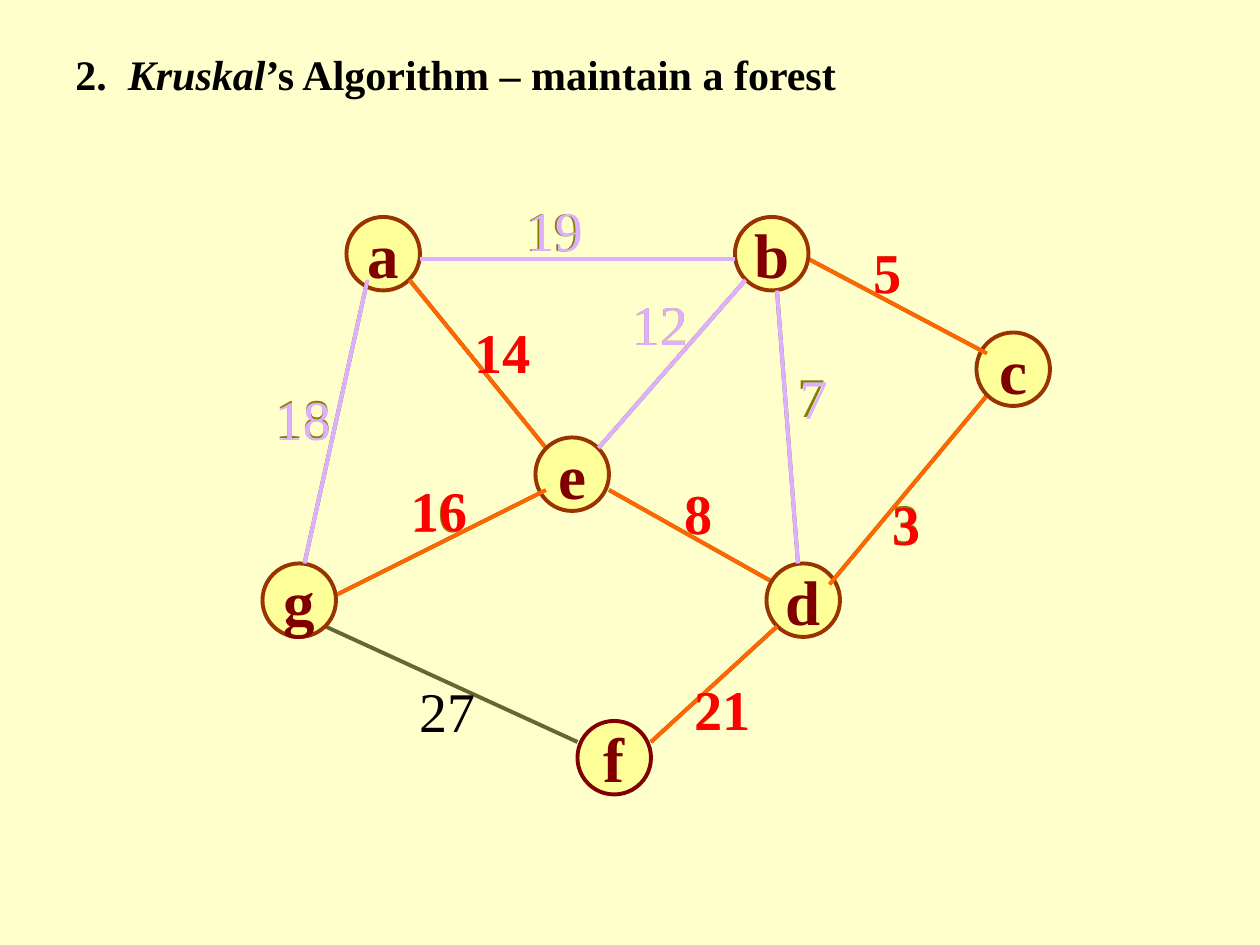
from dataclasses import dataclass

from lxml.etree import SubElement
from pptx import Presentation
from pptx.dml.color import RGBColor
from pptx.enum.shapes import MSO_CONNECTOR, MSO_SHAPE
from pptx.enum.text import MSO_ANCHOR, MSO_AUTO_SIZE, PP_ALIGN
from pptx.oxml.ns import qn
from pptx.util import Pt

COLORS = {
    "background": "FFFFCC", "black": "000000", "edge": "666633",
    "weight": "808000", "tree_edge": "FF6600", "tree_weight": "FF0000",
    "rejected": "DFAFFF", "node": "FFFF99", "rim": "993300", "name": "800000",
}


@dataclass
class Edge:
    """ends is x1, y1, x2, y2; nudge moves the coloured weight off the plain one."""
    weight: str
    ends: tuple
    label: tuple
    nudge: tuple = (0, 0)


TREE = {
    "ae": Edge("14", (234, 160, 312, 256), (264, 178)),
    "ed": Edge("8", (348, 280, 444, 334), (384, 270)),
    "dc": Edge("3", (564, 226, 474, 334), (502.5, 275), (0.5, 1)),
    "cb": Edge("5", (462, 148, 564, 202), (492, 132)),
    "eg": Edge("16", (192, 340, 312, 280), (227, 269), (1, -1)),
    "df": Edge("21", (444, 358, 372, 424), (390, 382)),
}
REJECTED = {
    "bd": Edge("7", (444, 166, 456, 322), (448.5, 203), (1.5, 1)),
    "be": Edge("12", (426, 160, 342, 256), (354, 162)),
    "ag": Edge("18", (210, 160, 174, 322), (150, 215), (0, 1)),
    "ab": Edge("19", (240, 148, 420, 148), (293, 108), (1, 0)),
}
UNSEEN = Edge("27", (186, 358, 330, 424), (232.5, 383))

# Each vertex, in the order the forest grows, with the tree edge drawn beneath it
VERTICES = [
    ("a", (198, 124), None), ("e", (306, 250), "ae"), ("d", (438, 322), "ed"),
    ("c", (558, 190), "dc"), ("b", (420, 124), "cb"), ("g", (150, 322), "eg"),
    ("f", (330, 412), "df"),
]


class GraphSlide:
    font = "Times New Roman"
    line_width = Pt(2.25)
    node_size = Pt(42)

    def __init__(self, slide):
        self.slide = slide
        self.shapes = slide.shapes
        fill = slide.background.fill
        fill.solid()
        fill.fore_color.rgb = self.rgb("background")

    def rgb(self, color):
        return RGBColor.from_string(COLORS[color])

    def style(self, r, size, color, bold=False, italic=False):
        font = r.font
        font.name, font.size = self.font, Pt(size)
        font.bold, font.italic = bold, italic
        font.color.rgb = self.rgb(color)

    def title(self, parts):
        """parts are (text, italic) pairs."""
        tf = self.shapes.add_textbox(Pt(36), Pt(24), Pt(480), Pt(36)).text_frame
        tf.word_wrap = True
        tf.auto_size = MSO_AUTO_SIZE.SHAPE_TO_FIT_TEXT
        for text, italic in parts:
            r = tf.paragraphs[0].add_run()
            r.text = text
            self.style(r, 24, "black", True, italic)

    def line(self, edge, color):
        sp = self.shapes.add_connector(MSO_CONNECTOR.STRAIGHT, *map(Pt, edge.ends))
        sp.line.width = self.line_width
        sp.line.color.rgb = self.rgb(color)
        SubElement(sp._element.spPr, qn("a:effectLst"))

    def weight(self, edge, color, bold=False, nudge=(0, 0)):
        x, y = (a + b for a, b in zip(edge.label, nudge))
        width = 30 if len(edge.weight) == 1 else 46.5
        tf = self.shapes.add_textbox(Pt(x), Pt(y), Pt(width), Pt(45.5)).text_frame
        tf.word_wrap = False
        tf.auto_size = MSO_AUTO_SIZE.SHAPE_TO_FIT_TEXT
        tf.text = edge.weight
        self.style(tf.paragraphs[0].runs[0], 32, color, bold)

    def node(self, name, at, rim):
        sp = self.shapes.add_shape(MSO_SHAPE.OVAL, *map(Pt, at),
                                   self.node_size, self.node_size)
        sp.shadow.inherit = False
        sp.fill.solid()
        sp.fill.fore_color.rgb = self.rgb("node")
        sp.line.color.rgb = self.rgb(rim)
        sp.line.width = self.line_width
        tf = sp.text_frame
        tf.word_wrap = False
        tf.vertical_anchor = MSO_ANCHOR.MIDDLE
        tf.text = name
        p = tf.paragraphs[0]
        p.alignment = PP_ALIGN.CENTER
        self.style(p.runs[0], 36, "name", True)


def main():
    prs = Presentation()
    prs.slide_width, prs.slide_height = Pt(720), Pt(540)
    s = GraphSlide(prs.slides.add_slide(prs.slide_layouts[6]))

    seen = [*TREE.values(), *REJECTED.values()]
    for edge in [*seen, UNSEEN]:
        s.line(edge, "edge")
    for edge in seen:
        s.weight(edge, "weight")
    s.weight(UNSEEN, "black")

    for name, at, link in VERTICES:
        if link:
            s.line(TREE[link], "tree_edge")
        s.node(name, at, "name" if name == "f" else "rim")
    for edge in TREE.values():
        s.weight(edge, "tree_weight", True, edge.nudge)

    for edge in REJECTED.values():
        s.line(edge, "rejected")
    for edge in REJECTED.values():
        s.weight(edge, "rejected", nudge=edge.nudge)

    s.title([("2.  ", False), ("Kruskal", True),
             ("’s Algorithm – maintain a forest", False)])
    prs.save("out.pptx")


if __name__ == "__main__":
    main()
